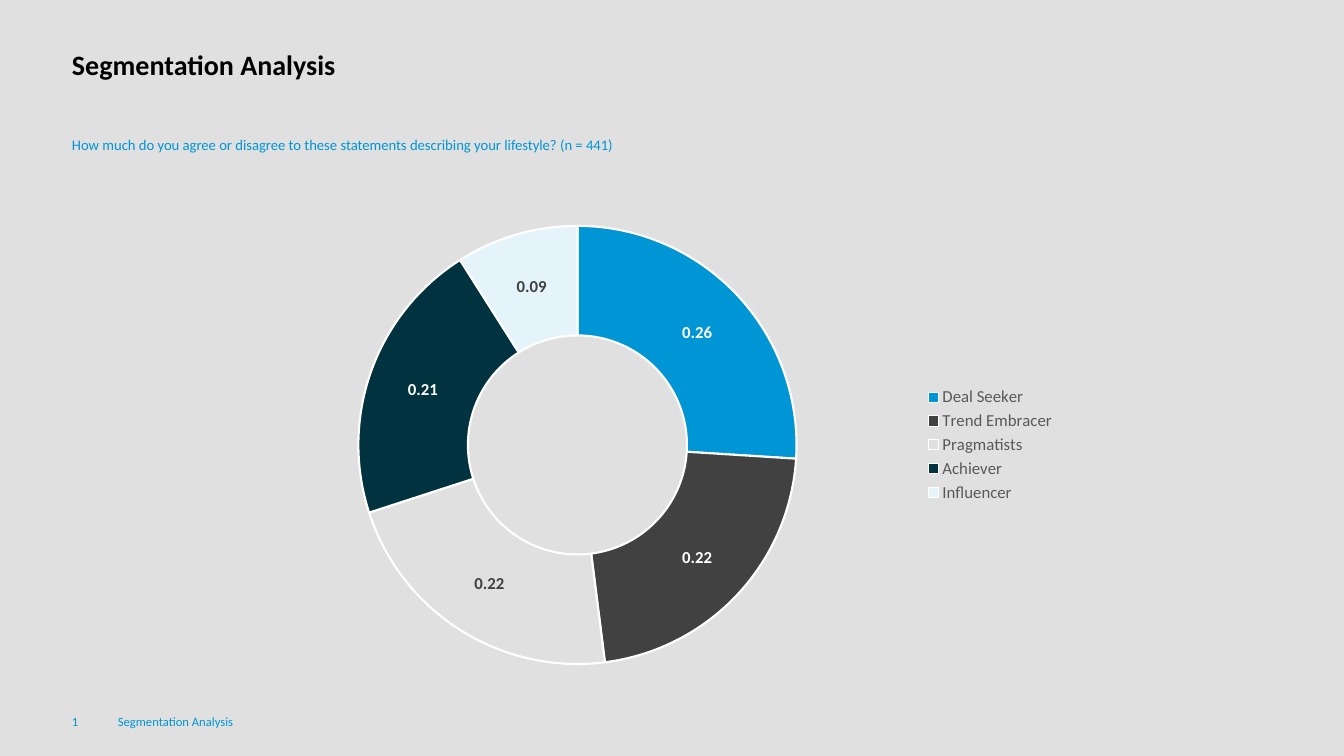
from pptx import Presentation
from pptx import util as u
from pptx.chart.data import CategoryChartData
from pptx.dml.color import RGBColor
from pptx.enum import chart as charts, text

EMU_PER_PIXEL = 914400 / 100.8
FONT = "Calibri"
BLUE = "0095D5"
WHITE = "FFFFFF"
DARK_GREY = "404040"

# Segment name, share, slice colour, label colour
SEGMENTS = [
    ("Deal Seeker", 0.26, BLUE, WHITE),
    ("Trend Embracer", 0.22, "414141", WHITE),
    ("Pragmatists", 0.22, "E0E0E0", DARK_GREY),
    ("Achiever", 0.21, "00333F", WHITE),
    ("Influencer", 0.09, "E5F4FA", DARK_GREY),
]


def px(length):
    return u.Emu(round(length * EMU_PER_PIXEL))


def color(hex_string):
    return RGBColor.from_string(hex_string)


def set_font(font, size, hex_string, bold=False):
    font.name = FONT
    font.size = u.Pt(size)
    font.bold = bold
    font.color.rgb = color(hex_string)


def write(shape, content, size, hex_string, bold=False, spacing=1.0):
    frame = shape.text_frame
    frame.word_wrap = True
    frame.auto_size = text.MSO_AUTO_SIZE.NONE
    frame.vertical_anchor = text.MSO_ANCHOR.TOP
    frame.margin_left = frame.margin_right = 0
    frame.margin_top = frame.margin_bottom = 0
    paragraph = frame.paragraphs[0]
    paragraph.alignment = text.PP_ALIGN.LEFT
    paragraph.line_spacing = spacing
    paragraph.space_before = u.Pt(0)
    run = paragraph.add_run()
    run.text = content
    set_font(run.font, size, hex_string, bold)


def add_title(slide, content, left, top, width, height):
    title = slide.shapes.title
    title.left, title.top = px(left), px(top)
    title.width, title.height = px(width), px(height)
    write(title, content, 20, "000000", bold=True)


def add_text(slide, content, left, top, width, height, size):
    box = slide.shapes.add_textbox(px(left), px(top), px(width), px(height))
    write(box, content, size, BLUE, spacing=1.2)


def add_segment_chart(slide, left, top, width, height):
    data = CategoryChartData(number_format="0.00")
    data.categories = [segment[0] for segment in SEGMENTS]
    data.add_series("Series 1", [segment[1] for segment in SEGMENTS])
    chart = slide.shapes.add_chart(
        charts.XL_CHART_TYPE.DOUGHNUT,
        px(left), px(top), px(width), px(height), data).chart
    chart.has_title = False
    set_font(chart.font, 10, "000000")

    # Legend
    chart.has_legend = True
    chart.legend.position = charts.XL_LEGEND_POSITION.RIGHT
    chart.legend.include_in_layout = False
    set_font(chart.legend.font, 12, "595959")

    # Ring and its value labels
    plot = chart.plots[0]
    plot.vary_by_categories = True
    for hole in plot._element.xpath("c:holeSize"):
        hole.set("val", "75")
    series = plot.series[0]
    labels = series.data_labels
    labels.show_value = True
    labels.show_percentage = False
    set_font(labels.font, 12, DARK_GREY, bold=True)
    for index, (_, _, fill, label_color) in enumerate(SEGMENTS):
        point = series.points[index]
        point.format.fill.solid()
        point.format.fill.fore_color.rgb = color(fill)
        point.format.line.color.rgb = color(WHITE)
        point.format.line.width = u.Pt(1.5)
        if label_color != DARK_GREY:
            set_font(point.data_label.font, 12, label_color, bold=True)


def main():
    presentation = Presentation()
    presentation.slide_width = px(1344)
    presentation.slide_height = px(756)
    slide = presentation.slides.add_slide(presentation.slide_layouts[5])
    slide.background.fill.solid()
    slide.background.fill.fore_color.rgb = color("E0E0E0")

    # Heading and survey question
    add_title(slide, "Segmentation Analysis", 72, 47, 992, 85)
    add_text(slide, "How much do you agree or disagree to these statements "
             "describing your lifestyle? (n = 441)", 72, 132, 992, 40, 10.5)

    # Segment shares
    add_segment_chart(slide, 232, 212, 834, 466)

    # Footer
    add_text(slide, "1", 72, 711, 43, 17, 9)
    add_text(slide, "Segmentation Analysis", 118, 711, 946, 17, 9)

    presentation.save("out.pptx")


main()
